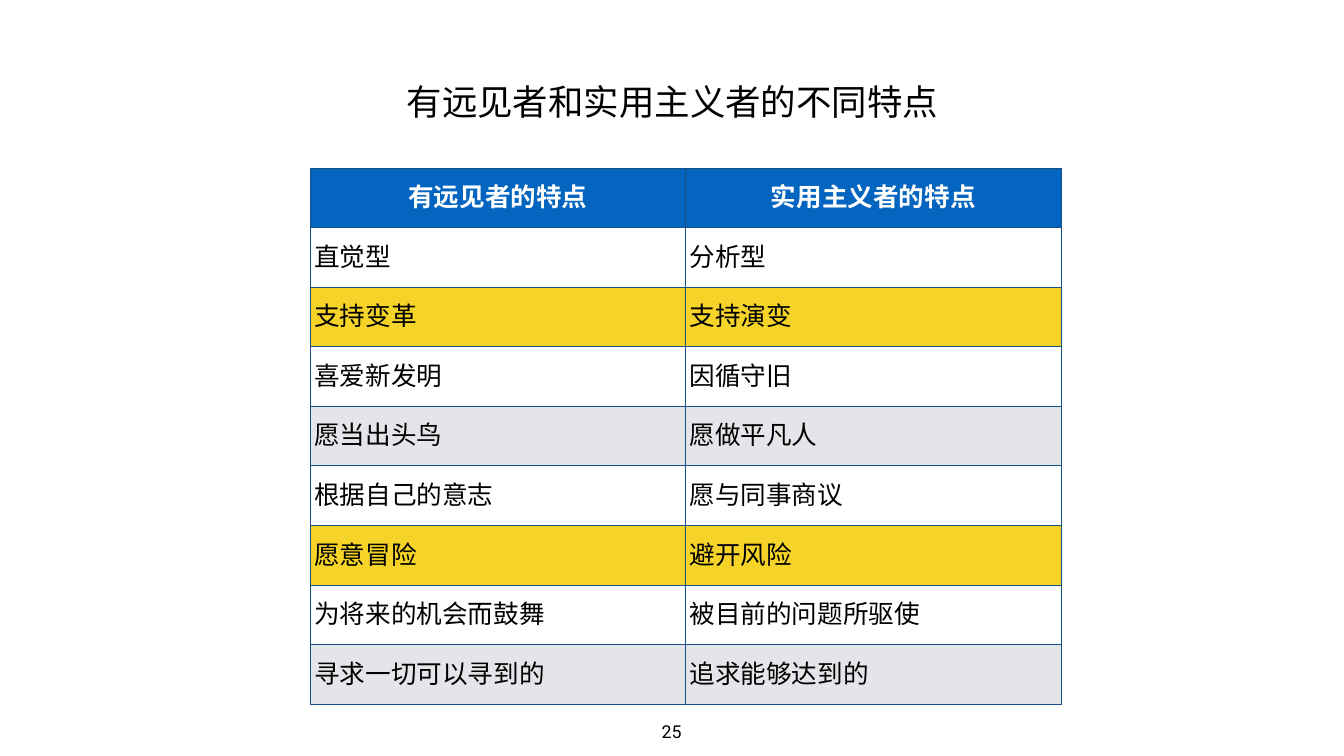
from dataclasses import dataclass

from lxml.etree import SubElement
from pptx import Presentation
from pptx.dml.color import RGBColor as Rgb
from pptx.enum.lang import MSO_LANGUAGE_ID as Lang
from pptx.enum.text import MSO_ANCHOR as Anchor, PP_ALIGN as Align
from pptx.oxml.ns import qn
from pptx.util import Cm, Pt


@dataclass(frozen=True)
class Theme:
    """Colours, type sizes and spacing of the slide."""
    font: str = "Roboto"
    ink: str = "000000"
    paper: str = "FFFFFF"
    header: str = "0365C0"
    highlight: str = "F5D328"
    band: str = "E3E5E8"
    border: str = "174F86"
    title_size: int = 36
    table_size: int = 26
    number_size: int = 18
    inset: float = 0.14


TRAITS = [
    ("有远见者的特点", "实用主义者的特点"),
    ("直觉型", "分析型"),
    ("支持变革", "支持演变"),
    ("喜爱新发明", "因循守旧"),
    ("愿当出头鸟", "愿做平凡人"),
    ("根据自己的意志", "愿与同事商议"),
    ("愿意冒险", "避开风险"),
    ("为将来的机会而鼓舞", "被目前的问题所驱使"),
    ("寻求一切可以寻到的", "追求能够达到的"),
]


def apply(target, formats):
    """Set each named attribute of the target."""
    for name, value in formats.items():
        setattr(target, name, value)


class SlideBuilder:
    """Holds the theme and the current slide and adds elements to it."""

    def __init__(self, slide, theme):
        self.slide = slide
        self.theme = theme
        self.margins = {f"margin_{side}": Cm(theme.inset)
                        for side in ("left", "right", "top", "bottom")}

    def fill_text(self, frame, text, size, color, align=Align.CENTER, bold=False):
        """Put one styled paragraph into a text frame."""
        paragraph = frame.paragraphs[0]
        paragraph.alignment = align
        run = paragraph.add_run()
        run.text = text
        apply(run.font, {"name": self.theme.font, "size": Pt(size), "bold": bold,
                         "language_id": Lang.SIMPLIFIED_CHINESE})
        run.font.color.rgb = Rgb.from_string(color)
        SubElement(run.font._element, qn("a:ea"), typeface=self.theme.font)

    def label(self, text, box, size, anchor):
        """Add a centred line of text."""
        frame = self.slide.shapes.add_textbox(*map(Cm, box)).text_frame
        apply(frame, {**self.margins, "word_wrap": False, "vertical_anchor": anchor})
        self.fill_text(frame, text, size, self.theme.ink)

    def outline(self, cell):
        """Draw the four borders of a cell."""
        properties = cell._tc.get_or_add_tcPr()
        for index, edge in enumerate(("lnL", "lnR", "lnT", "lnB")):
            line = properties.makeelement(qn(f"a:{edge}"), {"w": str(Pt(1))})
            fill = SubElement(line, qn("a:solidFill"))
            SubElement(fill, qn("a:srgbClr"), val=self.theme.border)
            properties.insert(index, line)

    def table(self, rows, box):
        """Add a table with a header row and alternating row colours."""
        theme = self.theme
        left, top, width, height = map(Cm, box)
        grid = self.slide.shapes.add_table(
            len(rows), len(rows[0]), left, top, width, height).table
        cycle = (theme.band, theme.paper, theme.highlight, theme.paper)
        for row, texts in enumerate(rows):
            is_header = row == 0
            fill = theme.header if is_header else cycle[row % len(cycle)]
            color = theme.paper if is_header else theme.ink
            align = Align.CENTER if is_header else Align.LEFT
            for column, text in enumerate(texts):
                cell = grid.cell(row, column)
                apply(cell, {**self.margins, "vertical_anchor": Anchor.MIDDLE})
                cell.fill.solid()
                cell.fill.fore_color.rgb = Rgb.from_string(fill)
                self.outline(cell)
                self.fill_text(cell.text_frame, text, theme.table_size, color, align, is_header)


def main():
    """Build the slide and save it."""
    deck = Presentation()
    apply(deck, {"slide_width": Cm(48.16), "slide_height": Cm(27.1)})
    theme = Theme()
    builder = SlideBuilder(deck.slides.add_slide(deck.slide_layouts[6]), theme)
    builder.table(TRAITS, (11.12, 6.02, 26.9, 19.23))
    builder.label("有远见者和实用主义者的不同特点", (14.33, 2.72, 19.53, 1.83),
                  theme.title_size, Anchor.MIDDLE)
    builder.label("25", (23.57, 25.7, 1, 1.07), theme.number_size, Anchor.TOP)
    deck.save("out.pptx")


if __name__ == "__main__":
    main()
